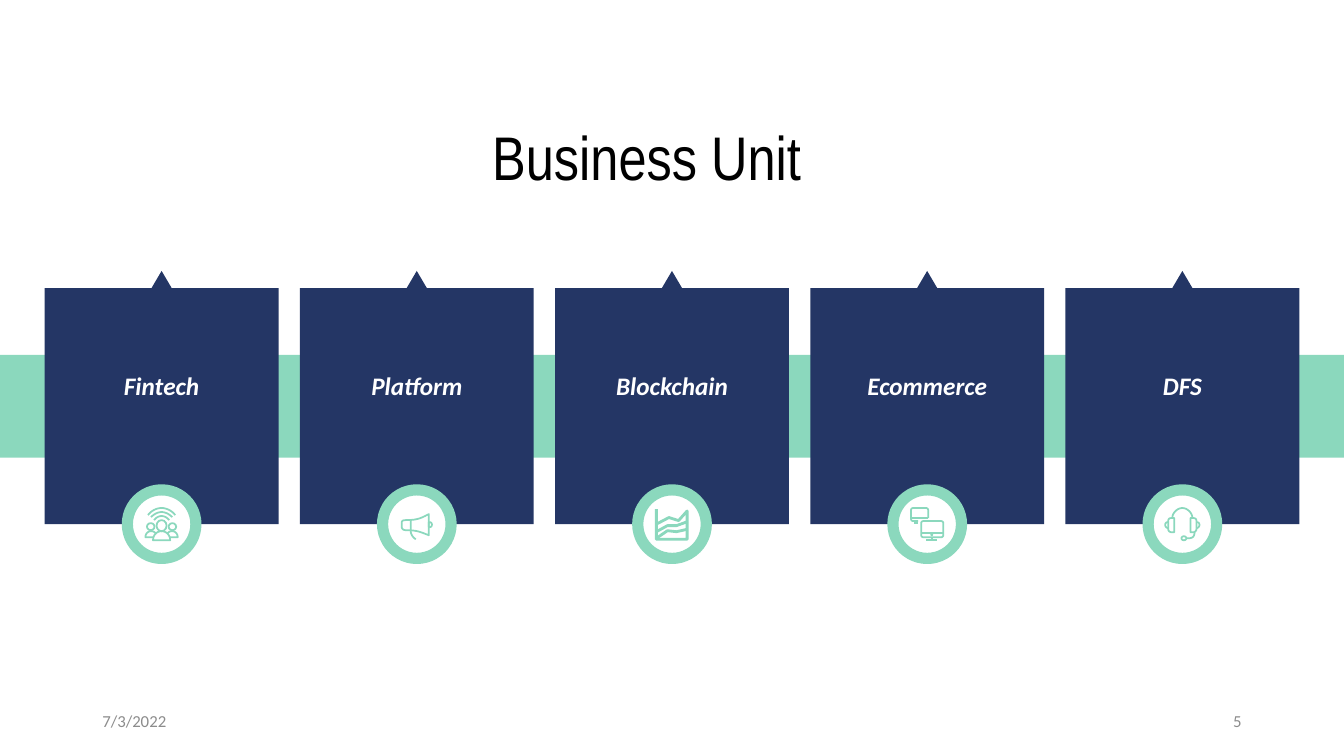
from pptx import Presentation
from pptx.dml.color import RGBColor
from pptx.enum.shapes import MSO_SHAPE as SHAPE
from pptx.enum.text import MSO_ANCHOR as ANCHOR, PP_ALIGN as ALIGN
from pptx.util import Emu, Inches, Pt

NAVY, MINT, WHITE, BLACK, GREY = "243665", "8BD8BD", "FFFFFF", "000000", "8C8C8C"
COLS, ROWS = 160, 90
PITCH, CARD_W, CARD_Y, CARD_H = 30.38, 27.84, 34.3, 28.1
ICON_Y, ICON_UNIT = CARD_Y + CARD_H, 0.12


def paint(fmt, color):
    if color is None:
        fmt.background()
    else:
        fmt.solid()
        fmt.fore_color.rgb = RGBColor.from_string(color)


def write(tf, text, size=18, font="Calibri", color=BLACK, bold=False, italic=False,
          align=ALIGN.LEFT, spacing=1.0, insets=(0.1, 0.05)):
    tf.word_wrap = True
    tf.vertical_anchor = ANCHOR.MIDDLE
    tf.margin_left = tf.margin_right = Inches(insets[0])
    tf.margin_top = tf.margin_bottom = Inches(insets[1])
    p = tf.paragraphs[0]
    p.alignment, p.line_spacing = align, spacing
    r = p.add_run()
    r.text = text
    r.font.size, r.font.name = Pt(size), font
    r.font.bold, r.font.italic = bold, italic
    paint(r.font.fill, color)


def bezier(start, curve, steps=8):
    pts = [start, curve[:2], curve[2:4], curve[4:]]
    for k in range(1, steps + 1):
        t = k / steps
        weights = ((1 - t) ** 3, 3 * t * (1 - t) ** 2, 3 * t * t * (1 - t), t ** 3)
        yield tuple(sum(w * pt[axis] for w, pt in zip(weights, pts)) for axis in (0, 1))


def outline(segments):
    pts = []
    for seg in segments:
        pts.extend([seg] if len(seg) == 2 else bezier(pts[-1], seg))
    return pts


def mirrored(strokes):
    flipped = [[tuple(-v if k % 2 == 0 else v for k, v in enumerate(seg)) for seg in stroke]
               for stroke in strokes]
    return strokes + flipped


def dome(half, foot, top, bend, rise):
    return [(-half, foot), (-bend, rise, -bend / 2, top, 0, top),
            (bend / 2, top, bend, rise, half, foot)]


PEOPLE = {
    "strokes": mirrored([[(-8, 13), (-16, 13), (-16, 9, -13, 7, -10.5, 7),
                          (-8, 7, -7, 8, -6, 9)]])
    + [dome(7.5, -4, -8, 5, -7), dome(10.5, -7, -12, 7.5, -10), dome(13.5, -9, -16, 10.5, -13),
       [(-8.5, 16), (-8.5, 11, -5, 7, 0, 7), (5, 7, 8.5, 11, 8.5, 16), (-8.5, 16)]],
    "ovals": [(-14.5, -1, 7.5, 7), (7, -1, 7.5, 7), (-5, -4, 10, 11)],
}
MEGAPHONE = {
    "strokes": [
        [(-6, -4), (-6, 7), (-6, 10, -4, 13, -1, 15)],
        [(12, 3), (13, 3), (14, 3, 15, 2, 15, 1), (15, 0), (15, -1, 14, -2, 13, -2),
         (12, -2), (12, 3)],
        [(-10, -4), (-11, -4), (-14, -4, -15, -3, -15, -1), (-15, 2),
         (-15, 4, -14, 6, -11, 6), (-10, 6), (2, 6, 6, 9, 12, 11), (12, -10),
         (6, -7, 2, -4, -10, -4)],
    ],
}
CHART = {
    "weight": 2,
    "strokes": [
        [(-15.5, -15), (-15.5, 15), (15, 15), (15, -13), (6.5, -3.5), (-3, -6.5), (-15.5, 0)],
        [(-15.5, 7.5), (-4.5, 1.5), (4.5, 1.5), (15.5, -2.5)],
        [(-15.5, 14), (-4.5, 6.5), (4.5, 7.5), (15.5, 5)],
    ],
}
SCREENS = {
    "strokes": [
        [(-9, -3), (-14, -3), (-15, -3, -16, -4, -16, -5), (-16, -14),
         (-16, -15, -15, -16, -14, -16), (-1, -16), (0, -16, 1, -15, 1, -14), (1, -6)],
        [(16, 11), (16, 12, 15, 13, 14, 13), (-4, 13), (-5, 13, -6, 12, -6, 11), (-6, -1),
         (-6, -2, -5, -3, -4, -3), (14, -3), (15, -3, 16, -2, 16, -1), (16, 11)],
    ],
    "lines": [(-13, -1, -9, -1), (-16, -6, 1, -6), (5, 13, 5, 16), (-1, 16, 10, 16),
              (-5, 9, 16, 9)],
    "ovals": [(4, 10, 1, 1)],
}
HEADSET = {
    "strokes": mirrored([
        [(-8, 8), (-11, 8), (-13, 8, -14, 6, -14, 5), (-14, -3), (-14, -5, -13, -6, -11, -6),
         (-8, -6), (-8, 8)],
        [(-14, 4), (-16, 4, -17, 2, -17, 1), (-17, -1, -16, -2, -14, -2)],
    ]) + [
        [(-10, -6), (-10, -11, -5, -16, 0, -16), (5, -16, 10, -11, 10, -6)],
        [(4, 14), (7, 14), (10, 14, 12, 12, 12, 9), (12, 8)],
    ],
    "ovals": [(-1, 12, 5, 4)],
}
UNITS = [("Fintech", PEOPLE), ("Platform", MEGAPHONE), ("Blockchain", CHART),
         ("Ecommerce", SCREENS), ("DFS", HEADSET)]


class Deck:
    def __init__(self):
        self.prs = Presentation()
        self.prs.slide_width, self.prs.slide_height = Inches(13.33), Inches(7.5)
        self.s = self.prs.slides.add_slide(self.prs.slide_layouts[5])

    def x(self, cols):
        return Emu(round(self.prs.slide_width * cols / COLS))

    def y(self, rows):
        return Emu(round(self.prs.slide_height * rows / ROWS))

    def box(self, left, top, width, height):
        return self.x(left), self.y(top), self.x(width), self.y(height)

    def style(self, sp, fill, line=None, weight=1):
        sp.shadow.inherit = False
        paint(sp.fill, fill)
        paint(sp.line.fill, line)
        if line:
            sp.line.width = Pt(weight)

    def title(self, text, *box, **fmt):
        sp = self.s.shapes.title
        sp.left, sp.top, sp.width, sp.height = self.box(*box)
        write(sp.text_frame, text, **fmt)

    def text(self, text, *box, **fmt):
        write(self.s.shapes.add_textbox(*self.box(*box)).text_frame, text, **fmt)

    def shape(self, kind, *box, fill=None, line=None, weight=1, parent=None):
        sp = (parent or self.s).shapes.add_shape(kind, *self.box(*box))
        self.style(sp, fill, line, weight)

    def line(self, parent, x1, y1, x2, y2, color, weight):
        sp = parent.shapes.add_connector(1, self.x(x1), self.y(y1), self.x(x2), self.y(y2))
        paint(sp.line.fill, color)
        sp.line.width = Pt(weight)
        sp._element.spPr.add_effectLst() if hasattr(sp._element.spPr, "add_effectLst") \
            else sp._element.spPr.get_or_add_effectLst()

    def stroke(self, parent, pts, color, weight):
        spots = [(self.x(px), self.y(py)) for px, py in pts]
        fb = parent.shapes.build_freeform(*spots[0])
        fb.add_line_segments(spots[1:], close=spots[0] == spots[-1])
        self.style(fb.convert_to_shape(), None, color, weight)

    def icon(self, cx, cy, parts):
        grp = self.s.shapes.add_group_shape()
        weight = parts.get("weight", 1.25)

        def place(px, py):
            return cx + px * ICON_UNIT, cy + py * ICON_UNIT

        for segments in parts["strokes"]:
            self.stroke(grp, [place(*pt) for pt in outline(segments)], MINT, weight)
        for x1, y1, x2, y2 in parts.get("lines", []):
            self.line(grp, *place(x1, y1), *place(x2, y2), MINT, weight)
        for left, top, w, h in parts.get("ovals", []):
            self.shape(SHAPE.OVAL, *place(left, top), w * ICON_UNIT, h * ICON_UNIT,
                       line=MINT, weight=weight, parent=grp)

    def card(self, cx, name, parts):
        self.shape(SHAPE.RECTANGLE, cx - CARD_W / 2, CARD_Y, CARD_W, CARD_H, fill=NAVY)
        self.shape(SHAPE.ISOSCELES_TRIANGLE, cx - 1.2, CARD_Y - 2.04, 2.4, 2.04, fill=NAVY)
        self.shape(SHAPE.OVAL, cx - 4.08, ICON_Y - 4.08, 8.16, 8.16,
                   fill=WHITE, line=MINT, weight=8)
        self.icon(cx, ICON_Y, parts)
        self.text(name, cx - 11.22, 37.68, 22.44, 16.8, color=WHITE, bold=True, italic=True,
                  align=ALIGN.CENTER, spacing=0.9, insets=(0.04, 0))


def main():
    deck = Deck()
    deck.shape(SHAPE.RECTANGLE, 0, 42.24, COLS, 12.24, fill=MINT)
    deck.title("Business Unit", 8, 10.44, 138, 17.4, size=44, font="Arial Narrow",
               align=ALIGN.CENTER, spacing=0.9)
    for i, (name, parts) in enumerate(UNITS):
        deck.card(COLS / 2 + PITCH * (i - 2), name, parts)
    deck.text("7/3/2022", 11, 83.4, 36, 4.8, size=12, color=GREY)
    deck.text("5", 113, 83.4, 36, 4.8, size=12, color=GREY, align=ALIGN.RIGHT)
    deck.prs.save("out.pptx")


if __name__ == "__main__":
    main()
